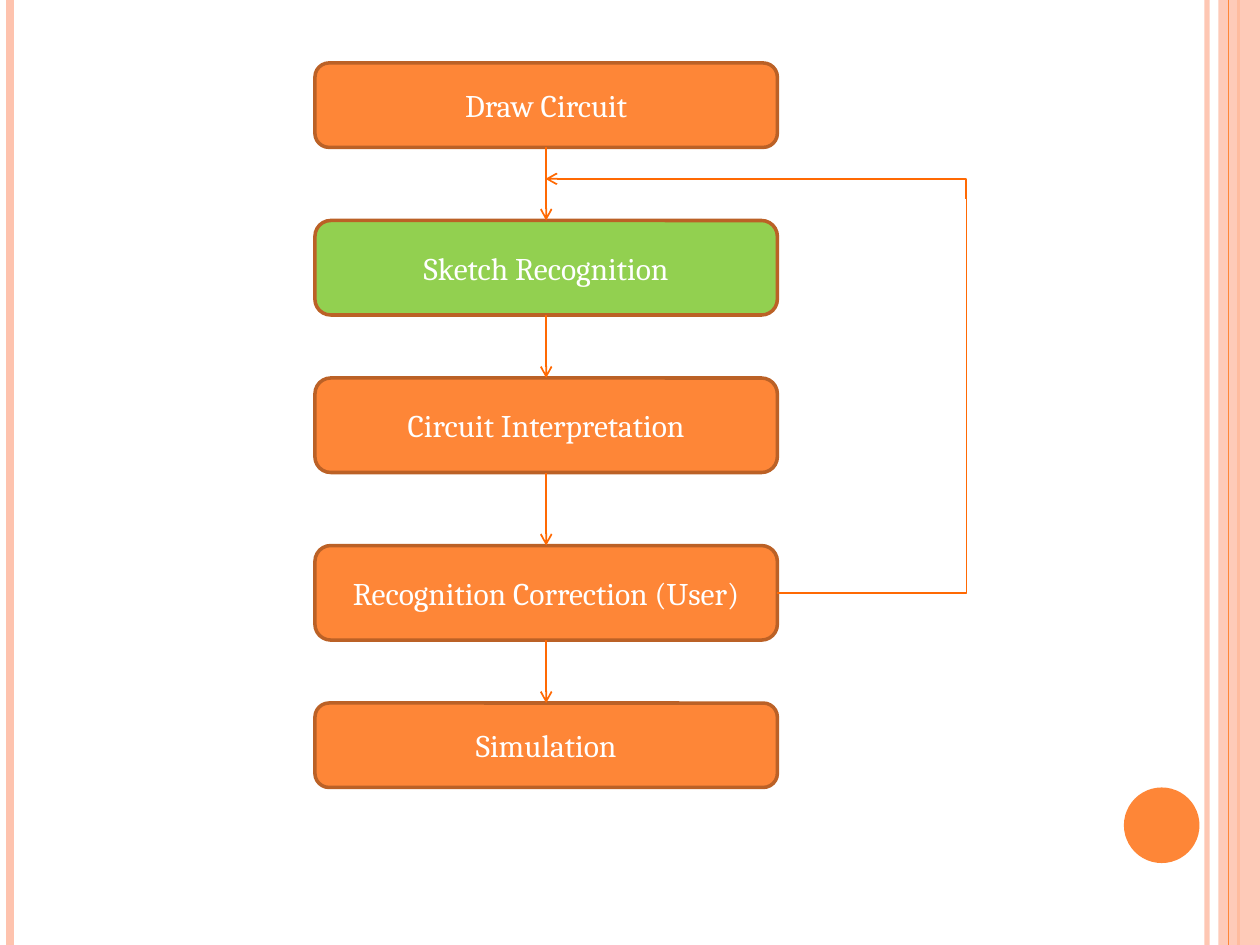
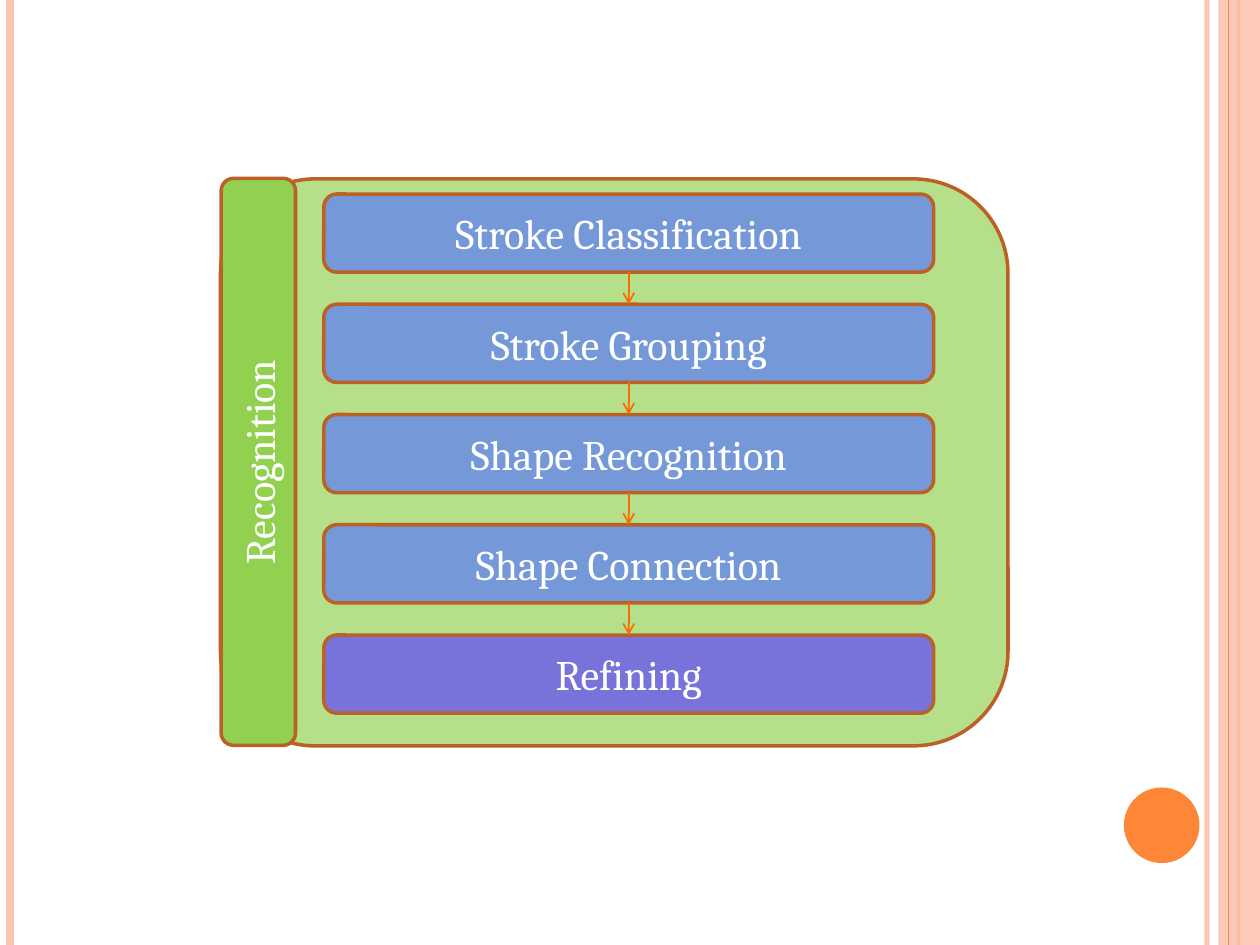
from dataclasses import dataclass

from lxml import etree
from pptx import Presentation
from pptx import util as u
from pptx.dml.color import RGBColor
from pptx.enum import shapes, text
from pptx.oxml.ns import qn
from pptx.shapes.autoshape import Shape
from pptx.shapes.connector import Connector
from pptx.slide import Slide

WIDTH, HEIGHT = 10, 7.5
FONT = "Cambria"
WHITE = "FFFFFF"
ORANGE = "FE8637"
PEACH = "FEC3AE"
BROWN = "BB6126"
ARROW = "FF6903"
GREEN = "92D050"
PALE_GREEN = "B6DF89"
BLUE = "7598D9"
VIOLET = "7873DB"


@dataclass
class Step:
    label: str
    top: float
    height: float
    fill: str


@dataclass
class Stripe:
    x: float
    weight: float
    color: str
    opacity: int = 100


STRIPES_BELOW = [
    Stripe(9.58, 3, PEACH, 93),
    Stripe(0.08, 4.5, PEACH),
    Stripe(9.83, 1.5, ORANGE),
]
STRIPE_ABOVE = Stripe(9.75, 0.75, ORANGE)

WORKFLOW = [
    Step("Draw Circuit", 0.5, 0.67, ORANGE),
    Step("Sketch Recognition", 1.75, 0.75, GREEN),
    Step("Circuit Interpretation", 3, 0.75, ORANGE),
    Step("Recognition Correction (User)", 4.33, 0.75, ORANGE),
    Step("Simulation", 5.58, 0.67, ORANGE),
]

STAGES = ["Stroke Classification", "Stroke Grouping", "Shape Recognition",
          "Shape Connection", "Refining"]
STAGE_TOP, STAGE_SPAN = 1.54, 3.5


def paint(fill, color: str, opacity: int = 100) -> None:
    """Give a fill, of a shape or of a line, a solid colour."""
    fill.solid()
    fill.fore_color.rgb = RGBColor.from_string(color)
    if opacity < 100:
        tint = fill._xPr.find(qn("a:solidFill"))[0]
        etree.SubElement(tint, qn("a:alpha"), val=str(opacity * 1000))


def write(shape: Shape, words: str, *, size: float, color: str = WHITE) -> None:
    frame = shape.text_frame
    frame.word_wrap = True
    frame.vertical_anchor = text.MSO_ANCHOR.MIDDLE
    para = frame.paragraphs[0]
    para.alignment = text.PP_ALIGN.CENTER
    span = para.add_run()
    span.text = words
    span.font.name = FONT
    span.font.size = u.Pt(size)
    span.font.color.rgb = RGBColor.from_string(color)


def add_figure(page: Slide, kind: shapes.MSO_SHAPE, left: float, top: float,
               width: float, height: float, fill: str, *,
               outline: str | None = None, opacity: int = 100) -> Shape:
    shape = page.shapes.add_shape(kind, u.Inches(left), u.Inches(top),
                                  u.Inches(width), u.Inches(height))
    shape.shadow.inherit = False
    paint(shape.fill, fill, opacity)
    if outline:
        paint(shape.line.fill, outline)
        shape.line.width = u.Pt(2)
    else:
        shape.line.fill.background()
    return shape


def add_box(page: Slide, left: float, top: float, width: float, height: float,
            fill: str, words: str = "", size: float = 18) -> Shape:
    box = add_figure(page, shapes.MSO_SHAPE.ROUNDED_RECTANGLE, left, top,
                     width, height, fill, outline=BROWN)
    if words:
        write(box, words, size=size)
    return box


def add_line(page: Slide, start: tuple[float, float], end: tuple[float, float],
             color: str = ARROW, *, weight: float = 1, opacity: int = 100,
             arrow: bool = False, bend: int | None = None) -> Connector:
    """Draw a line; bend is the percentage of its width at which it turns."""
    kind = shapes.MSO_CONNECTOR.STRAIGHT if bend is None else shapes.MSO_CONNECTOR.ELBOW
    line = page.shapes.add_connector(kind, *(u.Inches(n) for n in (*start, *end)))
    paint(line.line.fill, color, opacity)
    line.line.width = u.Pt(weight)
    properties = line._element.spPr
    if arrow:
        etree.SubElement(properties.find(qn("a:ln")), qn("a:tailEnd"), type="arrow")
    if bend is not None:
        guides = properties.find(qn("a:prstGeom")).find(qn("a:avLst"))
        etree.SubElement(guides, qn("a:gd"), name="adj1", fmla=f"val {bend * 1000}")
    etree.SubElement(properties, qn("a:effectLst"))
    return line


def chain(page: Slide, boxes: list[Shape]) -> None:
    """Join each box to the next with an arrow."""
    for upper, lower in zip(boxes, boxes[1:]):
        arrow = add_line(page, (0, 0), (0, 0), arrow=True)
        arrow.begin_connect(upper, 2)
        arrow.end_connect(lower, 0)


def add_stripe(page: Slide, stripe: Stripe) -> None:
    add_line(page, (stripe.x, 0), (stripe.x, HEIGHT), stripe.color,
             weight=stripe.weight, opacity=stripe.opacity)


def add_page(deck) -> Slide:
    """Add a slide with the stripes, band and disc that all slides share."""
    page = deck.slides.add_slide(deck.slide_layouts[6])
    for stripe in STRIPES_BELOW:
        add_stripe(page, stripe)
    add_figure(page, shapes.MSO_SHAPE.RECTANGLE, 9.67, 0, 0.33, HEIGHT, PEACH, opacity=87)
    add_stripe(page, STRIPE_ABOVE)
    add_figure(page, shapes.MSO_SHAPE.OVAL, 8.92, 6.25, 0.6, 0.6, ORANGE)
    return page


def build_workflow(deck) -> None:
    page = add_page(deck)
    left, width = 2.5, 3.67
    boxes = [add_box(page, left, step.top, width, step.height, step.fill, step.label)
             for step in WORKFLOW]
    chain(page, boxes)
    corner = (7.67, 1.58)
    add_line(page, (left + width, 4.71), corner, bend=100)
    add_line(page, corner, (4.33, 1.42), bend=0, arrow=True)


def build_recognition(deck) -> None:
    page = add_page(deck)
    add_box(page, 1.75, 1.42, 6.25, 4.5, PALE_GREEN)
    pitch = STAGE_SPAN / (len(STAGES) - 1)
    boxes = [add_box(page, 2.57, STAGE_TOP + row * pitch, 4.84, 0.62,
                     VIOLET if label == STAGES[-1] else BLUE, label, 24)
             for row, label in enumerate(STAGES)]
    chain(page, boxes)
    side_bar = add_box(page, -0.2, 3.37, 4.5, 0.59, GREEN, "Recognition", 24)
    side_bar.rotation = 270


def main() -> None:
    deck = Presentation()
    deck.slide_width, deck.slide_height = u.Inches(WIDTH), u.Inches(HEIGHT)
    build_workflow(deck)
    build_recognition(deck)
    deck.save("out.pptx")


if __name__ == "__main__":
    main()
